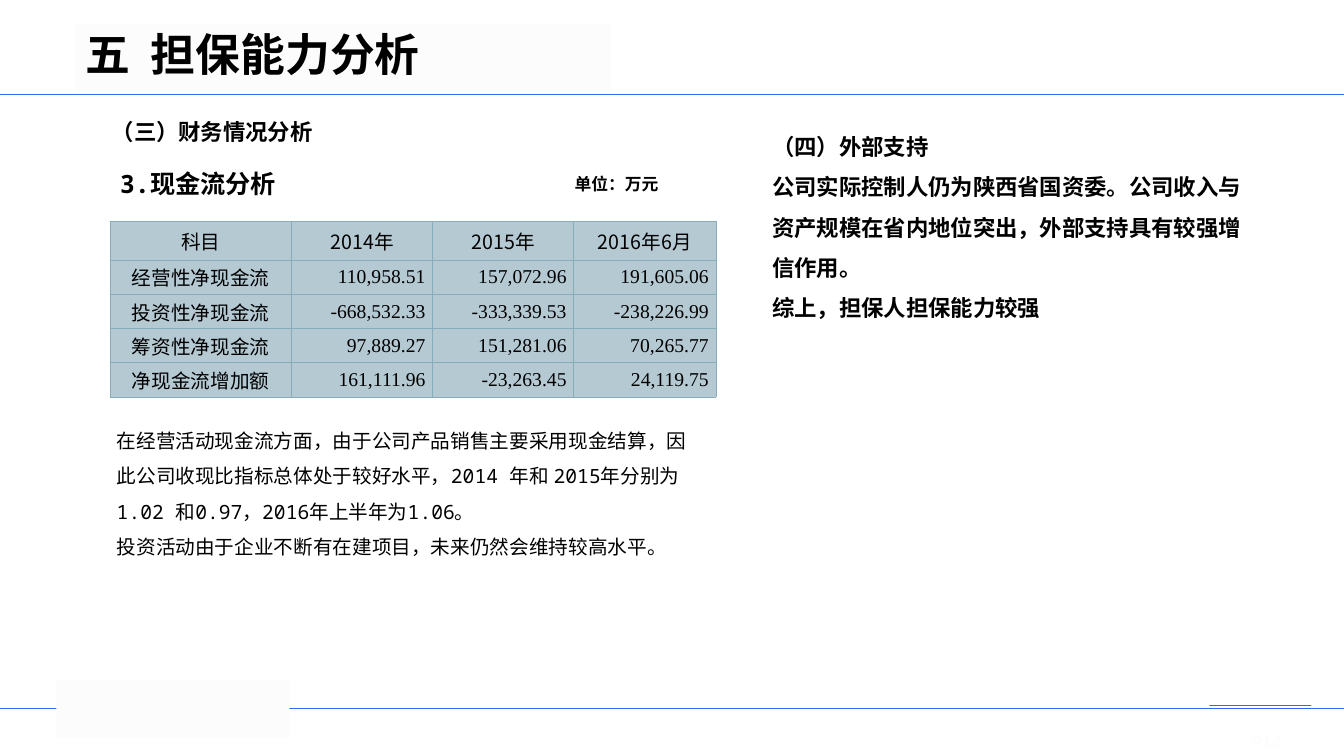
import math

from lxml import etree
from pptx import Presentation
from pptx.dml.color import RGBColor
from pptx.enum.shapes import MSO_CONNECTOR, MSO_SHAPE
from pptx.enum.text import MSO_ANCHOR, PP_ALIGN
from pptx.oxml.ns import qn
from pptx.util import Inches, Pt

LEFT, CENTER, RIGHT = PP_ALIGN.LEFT, PP_ALIGN.CENTER, PP_ALIGN.RIGHT
MIDDLE = MSO_ANCHOR.MIDDLE
BLACK = RGBColor(0x00, 0x00, 0x00)
BLUE = RGBColor(0x33, 0x66, 0xFF)
OFF_WHITE = RGBColor(0xFC, 0xFC, 0xFC)
CELL_BLUE = RGBColor(0xB5, 0xC9, 0xD3)
GRID_BLUE = RGBColor(0x85, 0xAD, 0xBC)
MONO, SANS, SERIF = "Noto Sans Mono", "Noto Sans CJK SC", "Times New Roman"
SLIDE_W, SLIDE_H = 13.33, 7.5


def write(frame, lines, size, font=MONO, bold=False, color=BLACK,
          align=LEFT, spacing=None, before=None):
    """Fill a text frame with one formatted run per paragraph."""
    frame.word_wrap = True
    for i, line in enumerate(lines):
        paragraph = frame.paragraphs[0] if i == 0 else frame.add_paragraph()
        paragraph.alignment = align
        if spacing:
            paragraph.line_spacing = spacing
        if before:
            paragraph.space_before = Pt(before)
        run = paragraph.add_run()
        run.text = line
        run.font.size, run.font.name, run.font.bold = Pt(size), font, bold
        run.font.color.rgb = color
        east_asian = etree.SubElement(run.font._element, qn("a:ea"))
        east_asian.set("typeface", SANS)


prs = Presentation()
prs.slide_width, prs.slide_height = Inches(SLIDE_W), Inches(SLIDE_H)
slide = prs.slides.add_slide(prs.slide_layouts[5])
shapes = slide.shapes

# Header and footer rules
for rule_y in (0.94, 7.03):
    rule = shapes.add_connector(MSO_CONNECTOR.STRAIGHT, 0, Inches(rule_y),
                                Inches(SLIDE_W), Inches(rule_y))
    rule.line.color.rgb = BLUE
    rule.line.width = Pt(0.5)
    etree.SubElement(rule._element.spPr, qn("a:effectLst"))

# Footer panel over the lower rule
footer_panel = shapes.add_shape(MSO_SHAPE.RECTANGLE, Inches(0.56), Inches(6.74),
                                Inches(2.31), Inches(0.58))
footer_panel.shadow.inherit = False
footer_panel.fill.solid()
footer_panel.fill.fore_color.rgb = OFF_WHITE
footer_panel.line.fill.background()

# Page badge: a half disc on the bottom edge
BADGE_X, BADGE_BASE, RADIUS_X, RADIUS_Y, STEPS = 12.57, 7.47, 0.33, 0.37, 36
arc = [(BADGE_X - RADIUS_X * math.cos(math.pi * i / STEPS),
        BADGE_BASE - RADIUS_Y * math.sin(math.pi * i / STEPS))
       for i in range(STEPS + 1)]
base = [(BADGE_X + RADIUS_X, 7.49), (BADGE_X - RADIUS_X, 7.49)]
outline = shapes.build_freeform(*arc[0], scale=Inches(1))
outline.add_line_segments(arc[1:] + base, close=True)
badge = outline.convert_to_shape()
badge.shadow.inherit = False
badge.fill.solid()
badge.fill.fore_color.rgb = BLUE
badge.line.color.rgb = BLUE
badge.line.width = Pt(1)

# Title
title = shapes.title
title.left, title.top = Inches(0.75), Inches(0.24)
title.width, title.height = Inches(5.31), Inches(0.66)
title.fill.solid()
title.fill.fore_color.rgb = OFF_WHITE
title.text_frame.vertical_anchor = MIDDLE
write(title.text_frame, ["五  担保能力分析"], 32, SANS, True, spacing=0.9)

# Text blocks: box, lines, size, bold, colour, alignment, line spacing
text_blocks = [
    ((11.65, 7.21, 1.83, 0.3), ["P14"], 12, False, OFF_WHITE, CENTER, None),
    ((1.01, 0.99, 4.3, 0.91), ["（三）财务情况分析"], 16, True, BLACK, LEFT, 1.5),
    ((1.09, 1.47, 5.73, 0.5), ["3.现金流分析"], 18, True, BLACK, LEFT, 1.5),
    ((5.6, 1.67, 1.51, 0.3), ["单位：万元"], 12, True, BLACK, LEFT, None),
    ((1.06, 4.09, 6.04, 1.75), [
        "在经营活动现金流方面，由于公司产品销售主要采用现金结算，因此公司收现比指标"
        "总体处于较好水平，2014 年和 2015年分别为 1.02 和0.97，2016年上半年为1.06。",
        "投资活动由于企业不断有在建项目，未来仍然会维持较高水平。",
    ], 14, False, BLACK, LEFT, 1.5),
    ((7.56, 1.14, 4.88, 2.12), [
        "（四）外部支持",
        "公司实际控制人仍为陕西省国资委。公司收入与资产规模在省内地位突出，"
        "外部支持具有较强增信作用。",
        "综上，担保人担保能力较强",
    ], 16, True, BLACK, LEFT, 1.5),
]
for box, lines, size, bold, color, align, spacing in text_blocks:
    block = shapes.add_textbox(*map(Inches, box))
    write(block.text_frame, lines, size, MONO, bold, color, align, spacing)

# Cash flow table
cash_flow = [
    ["科目", "2014年", "2015年", "2016年6月"],
    ["经营性净现金流", "110,958.51", "157,072.96", "191,605.06"],
    ["投资性净现金流", "-668,532.33", "-333,339.53", "-238,226.99"],
    ["筹资性净现金流", "97,889.27", "151,281.06", "70,265.77"],
    ["净现金流增加额", "161,111.96", "-23,263.45", "24,119.75"],
]
table = shapes.add_table(len(cash_flow), len(cash_flow[0]), Inches(1.09), Inches(2.2),
                         Inches(6.02), Inches(1.73)).table
for column, width in zip(table.columns, (1.8, 1.4, 1.4, 1.41)):
    column.width = Inches(width)
for r, values in enumerate(cash_flow):
    table.rows[r].height = Inches(0.34 if r else 0.38)
    for c, value in enumerate(values):
        cell = table.cell(r, c)
        is_figure = r > 0 and c > 0
        cell.vertical_anchor = MIDDLE
        cell.margin_top = cell.margin_bottom = 0
        cell.margin_left = cell.margin_right = Inches(0.07 if is_figure else 0)
        if is_figure:
            write(cell.text_frame, [value], 14, SERIF, align=RIGHT, before=6)
        else:
            write(cell.text_frame, [value], 14, MONO if c == 0 else SANS, align=CENTER)
        # Borders come before the fill in the cell properties
        properties = cell._tc.get_or_add_tcPr()
        for side in ("a:lnL", "a:lnR", "a:lnT", "a:lnB"):
            border = etree.SubElement(properties, qn(side), w=str(Pt(0.5)))
            paint = etree.SubElement(border, qn("a:solidFill"))
            etree.SubElement(paint, qn("a:srgbClr"), val=str(GRID_BLUE))
        cell.fill.solid()
        cell.fill.fore_color.rgb = CELL_BLUE

prs.save("out.pptx")
